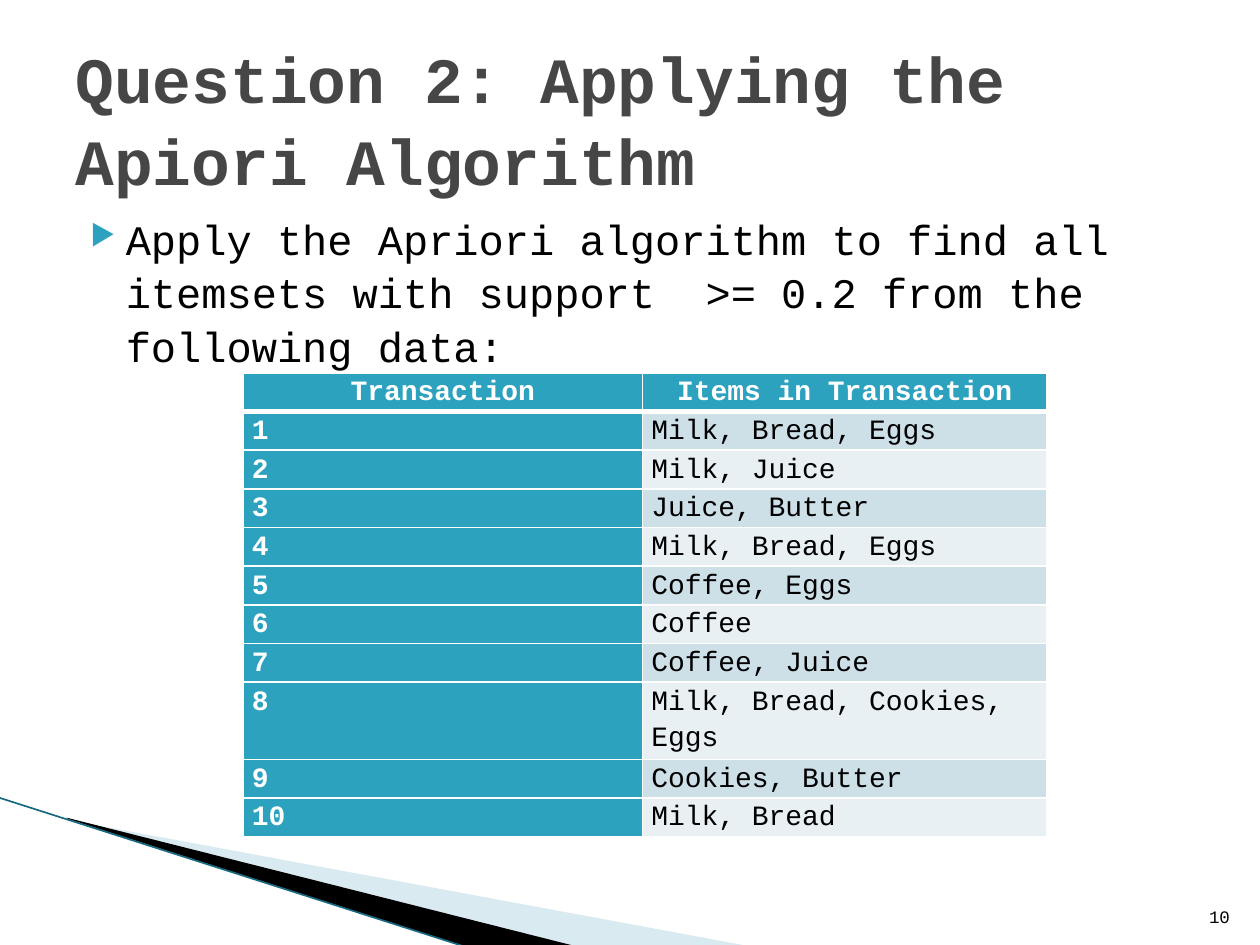
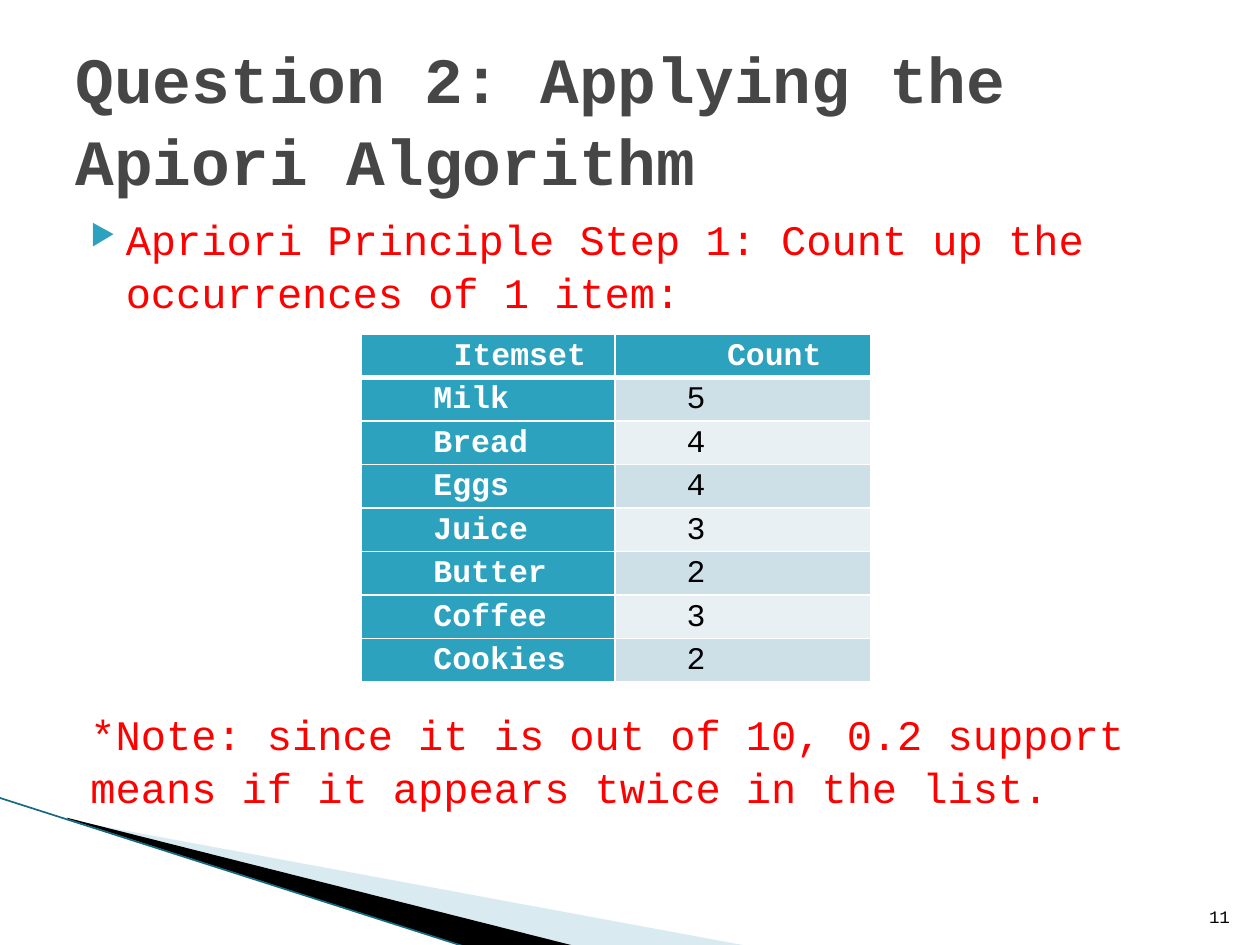
from lxml.etree import SubElement
from pptx import Presentation
from pptx.dml.color import RGBColor
from pptx.enum.shapes import MSO_CONNECTOR
from pptx.enum.text import MSO_ANCHOR, PP_ALIGN
from pptx.oxml.ns import qn
from pptx.util import Inches, Pt

FONT = "Courier New"
WHITE = RGBColor(0xFF, 0xFF, 0xFF)
BLACK = RGBColor(0, 0, 0)
RED = RGBColor(0xFF, 0, 0)
GREY = RGBColor(0x46, 0x46, 0x46)
TEAL = RGBColor(0x2D, 0xA2, 0xBF)
DARK_TEAL = RGBColor(0x16, 0x69, 0x7F)
PALE_BLUE = RGBColor(0xA0, 0xCB, 0xDC)
BANDS = (RGBColor(0xCD, 0xE0, 0xE8), RGBColor(0xE8, 0xF0, 0xF4))

TITLE = "Question 2: Applying the Apiori Algorithm"
LINE_SPACING = 1.06

TRANSACTIONS = [
    "Milk, Bread, Eggs", "Milk, Juice", "Juice, Butter", "Milk, Bread, Eggs",
    "Coffee, Eggs", "Coffee", "Coffee, Juice", "Milk, Bread, Cookies, Eggs",
    "Cookies, Butter", "Milk, Bread",
]
COUNTS = [("Milk", 5), ("Bread", 4), ("Eggs", 4), ("Juice", 3),
          ("Butter", 2), ("Coffee", 3), ("Cookies", 2)]


def style(para, size, color, bold=False):
    font = para.font
    font.name, font.size, font.bold = FONT, Pt(size), bold
    font.color.rgb = color


def set_indent(para, left, first=0):
    props = para._p.get_or_add_pPr()
    props.set("marL", str(Inches(left)))
    props.set("indent", str(Inches(first)))


def add_bullet(para):
    props = para._p.get_or_add_pPr()
    color = SubElement(props, qn("a:buClr"))
    SubElement(color, qn("a:srgbClr"), val=str(TEAL))
    SubElement(props, qn("a:buSzPct"), val="68000")
    SubElement(props, qn("a:buChar"), char="\u25b6")


def add_box(page, left, top, width, height, anchor):
    box = page.shapes.add_textbox(Inches(left), Inches(top), Inches(width), Inches(height))
    frame = box.text_frame
    frame.word_wrap = True
    frame.vertical_anchor = anchor
    return frame


def add_wedge(page, points, color, opacity=None):
    corners = [(Inches(x), Inches(y)) for x, y in points]
    builder = page.shapes.build_freeform(*corners[0])
    builder.add_line_segments(corners[1:], close=True)
    wedge = builder.convert_to_shape()
    wedge.shadow.inherit = False
    wedge.line.fill.background()
    wedge.fill.solid()
    wedge.fill.fore_color.rgb = color
    if opacity:
        tint = wedge._element.spPr.find(".//" + qn("a:srgbClr"))
        SubElement(tint, qn("a:alpha"), val=str(opacity * 1000))


def add_corner_bands(page):
    add_wedge(page, [(0.55, 6.51), (5.95, 7.51), (4.56, 7.51), (0.55, 6.5)], PALE_BLUE, 40)
    add_wedge(page, [(0.53, 6.49), (4.57, 7.51), (3.72, 7.52), (0.54, 6.5)], BLACK)
    edge = page.shapes.add_connector(MSO_CONNECTOR.STRAIGHT, Inches(-0.01), Inches(6.33),
                                     Inches(3.71), Inches(7.52))
    edge.line.color.rgb = DARK_TEAL
    edge.line.width = Pt(0.95)
    SubElement(edge._element.spPr, qn("a:effectLst"))


def add_page(deck, number):
    """Blank page with the shared bands, title and page number."""
    page = deck.slides.add_slide(deck.slide_layouts[6])
    add_corner_bands(page)

    title = add_box(page, 0.5, 0.3, 9, 1.25, MSO_ANCHOR.MIDDLE).paragraphs[0]
    title.text = TITLE
    title.line_spacing = LINE_SPACING
    style(title, 36.9, GREY, bold=True)

    footer = add_box(page, 9.46, 7.01, 0.4, 0.4, MSO_ANCHOR.BOTTOM).paragraphs[0]
    footer.text = str(number)
    footer.alignment = PP_ALIGN.RIGHT
    style(footer, 10, BLACK)
    return page


def add_body(page, bullet, color, note=None):
    frame = add_box(page, 0.5, 1.62, 9, 4.95, MSO_ANCHOR.TOP)
    para = frame.paragraphs[0]
    para.text = bullet
    para.space_before = Pt(4)
    set_indent(para, 0.4, -0.28)
    para.line_spacing = LINE_SPACING
    add_bullet(para)
    style(para, 24, color)
    if note:
        # The gap leaves room for the table
        para = frame.add_paragraph()
        para.text = note
        para.space_before = Pt(222)
        para.line_spacing = LINE_SPACING
        set_indent(para, 0.12)
        style(para, 24, color)


def set_borders(cell, bottom):
    props = cell._tc.get_or_add_tcPr()
    widths = {"a:lnL": 1, "a:lnR": 1, "a:lnT": 1, "a:lnB": bottom}
    for place, (tag, width) in enumerate(widths.items()):
        line = SubElement(props, qn(tag), w=str(Pt(width)))
        fill = SubElement(line, qn("a:solidFill"))
        SubElement(fill, qn("a:srgbClr"), val=str(WHITE))
        props.insert(place, line)


def add_grid(page, left, top, widths, row_height, rows, size, indent=0):
    """Table whose header row and first column are teal, the rest banded."""
    table = page.shapes.add_table(len(rows), len(widths), Inches(left), Inches(top),
                                  Inches(sum(widths)), Inches(row_height * len(rows))).table
    for column, width in zip(table.columns, widths):
        column.width = Inches(width)
    for r, values in enumerate(rows):
        table.rows[r].height = Inches(row_height)
        for c, value in enumerate(values):
            cell = table.cell(r, c)
            heading = r == 0 or c == 0
            cell.margin_left = cell.margin_right = Inches(0.07)
            cell.margin_top = cell.margin_bottom = 0
            cell.fill.solid()
            cell.fill.fore_color.rgb = TEAL if heading else BANDS[(r - 1) % 2]
            para = cell.text_frame.paragraphs[0]
            para.text = str(value)
            para.line_spacing = 1.15
            para.alignment = PP_ALIGN.CENTER if r == 0 else PP_ALIGN.LEFT
            set_indent(para, indent)
            style(para, size, WHITE if heading else BLACK, bold=heading)
            set_borders(cell, bottom=3 if r == 0 else 1)


def main():
    deck = Presentation()
    deck.slide_width, deck.slide_height = Inches(10), Inches(7.5)

    # The question and its data
    page = add_page(deck, 10)
    add_body(page, "Apply the Apriori algorithm to find all itemsets with support  >= 0.2 "
                   "from the following data:", BLACK)
    rows = [("Transaction", "Items in Transaction"), *enumerate(TRANSACTIONS, start=1)]
    add_grid(page, 1.93, 2.96, (3.17, 3.21), 0.28, rows, 16)

    # Step 1: single-item counts
    page = add_page(deck, 11)
    add_body(page, "Apriori Principle Step 1: Count up the occurrences of 1 item:", RED,
             note="*Note: since it is out of 10, 0.2 support means if it appears twice in the list.")
    add_grid(page, 2.87, 2.65, (2.01, 2.03), 0.32, [("Itemset", "Count"), *COUNTS], 18, indent=0.5)

    deck.save("out.pptx")


main()
